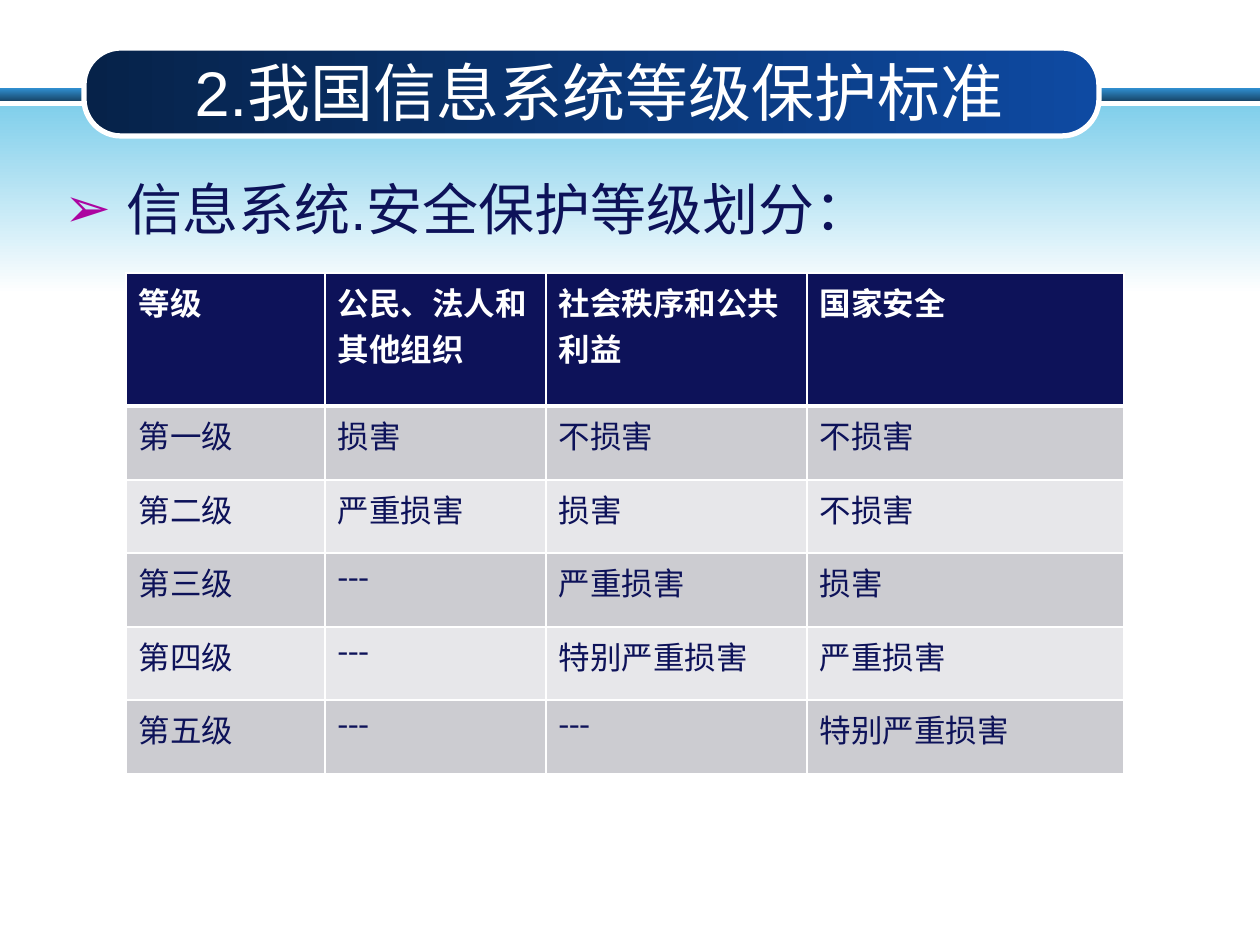
import pptx
import pptx.dml.color
import pptx.enum.shapes
import pptx.enum.text
import pptx.oxml
import pptx.oxml.ns
import pptx.util
import lxml.etree

SCALE = 914400 / 126
NAVY = "0D1259"
WHITE = "FFFFFF"
NAMESPACE = pptx.oxml.ns.nsdecls("a")


def px(*lengths):
    return [pptx.util.Emu(round(length * SCALE)) for length in lengths]


def color(value):
    return pptx.dml.color.RGBColor.from_string(value)


deck = pptx.Presentation()
deck.slide_width, deck.slide_height = px(1260, 945)
page = deck.slides.add_slide(deck.slide_layouts[6])
shape_types = pptx.enum.shapes.MSO_SHAPE

bands = [
    (shape_types.RECTANGLE, (0, 88, 1260, 13), ("3191D3", "18476A"), 270),
    (shape_types.RECTANGLE, (0, 106, 1260, 188), ("81CFEB", WHITE), 270),
    (shape_types.ROUNDED_RECTANGLE, (84, 48, 1015, 88), ("062249", "0E4AA2"), 0),
]
for kind, place, ends, angle in bands:
    band = page.shapes.add_shape(kind, *px(*place))
    band.shadow.inherit = False
    band.fill.gradient()
    band.fill.gradient_angle = angle
    for stop, end in zip(band.fill.gradient_stops, ends):
        stop.color.rgb = color(end)
    if kind == shape_types.ROUNDED_RECTANGLE:
        band.adjustments[0] = 0.42
        band.line.color.rgb = color(WHITE)
        band.line.width = pptx.util.Pt(3)
    else:
        band.line.fill.background()

texts = [
    ("2.我国信息系统等级保护标准", (116, 52, 966, 78), 36, WHITE),
    ("信息系统.安全保护等级划分：", (52, 168, 1145, 672), 32, NAVY),
]
boxes = []
for words, place, size, ink in texts:
    box = page.shapes.add_textbox(*px(*place))
    box.text_frame.word_wrap = True
    para = box.text_frame.paragraphs[0]
    para.text = words
    boxes.append(box)
    if ink == NAVY:
        properties = para._p.get_or_add_pPr()
        indent = px(62)[0]
        properties.set("marL", str(indent))
        properties.set("indent", str(-indent))
        for bullet in (
            f'<a:buClr {NAMESPACE}><a:srgbClr val="AC04A0"/></a:buClr>',
            f'<a:buFont {NAMESPACE} typeface="Arial"/>',
            f'<a:buChar {NAMESPACE} char="➢"/>',
        ):
            properties.append(pptx.oxml.parse_xml(bullet))
    para.font.name = "Arial"
    para.font.size = pptx.util.Pt(size)
    para.font.color.rgb = color(ink)

title_box = boxes[0]
title_box.text_frame.vertical_anchor = pptx.enum.text.MSO_ANCHOR.MIDDLE
title_box.text_frame.paragraphs[0].alignment = pptx.enum.text.PP_ALIGN.CENTER

levels = [
    ["等级", "公民、法人和其他组织", "社会秩序和公共利益", "国家安全"],
    ["第一级", "损害", "不损害", "不损害"],
    ["第二级", "严重损害", "损害", "不损害"],
    ["第三级", "---", "严重损害", "损害"],
    ["第四级", "---", "特别严重损害", "严重损害"],
    ["第五级", "---", "---", "特别严重损害"],
]
widths = [199, 221, 261, 317]
heights = [133, 74, 73, 74, 73, 74]
frame = page.shapes.add_table(
    len(levels), len(widths), *px(126, 273, sum(widths), sum(heights))
)
table = frame.table
table.horz_banding = False
for column, width in zip(table.columns, px(*widths)):
    column.width = width
for row, height in zip(table.rows, px(*heights)):
    row.height = height

for row_index, level in enumerate(levels):
    header = row_index == 0
    fill = NAVY if header else ("E7E7EA", "CCCCD1")[row_index % 2]
    for column_index, words in enumerate(level):
        cell = table.cell(row_index, column_index)
        cell_properties = cell._tc.get_or_add_tcPr()
        for side in "LRTB":
            thick = (row_index, side) in [(0, "B"), (1, "T")]
            weight = pptx.util.Pt(3 if thick else 1)
            cell_properties.append(pptx.oxml.parse_xml(
                f'<a:ln{side} {NAMESPACE} w="{weight}"><a:solidFill>'
                f'<a:srgbClr val="{WHITE}"/></a:solidFill></a:ln{side}>'
            ))
        cell.fill.solid()
        cell.fill.fore_color.rgb = color(fill)
        para = cell.text_frame.paragraphs[0]
        para.text = words
        para.font.name = "Times New Roman"
        para.font.size = pptx.util.Pt(18)
        para.font.bold = header
        para.font.color.rgb = color(WHITE if header else NAVY)

deck.save("out.pptx")
